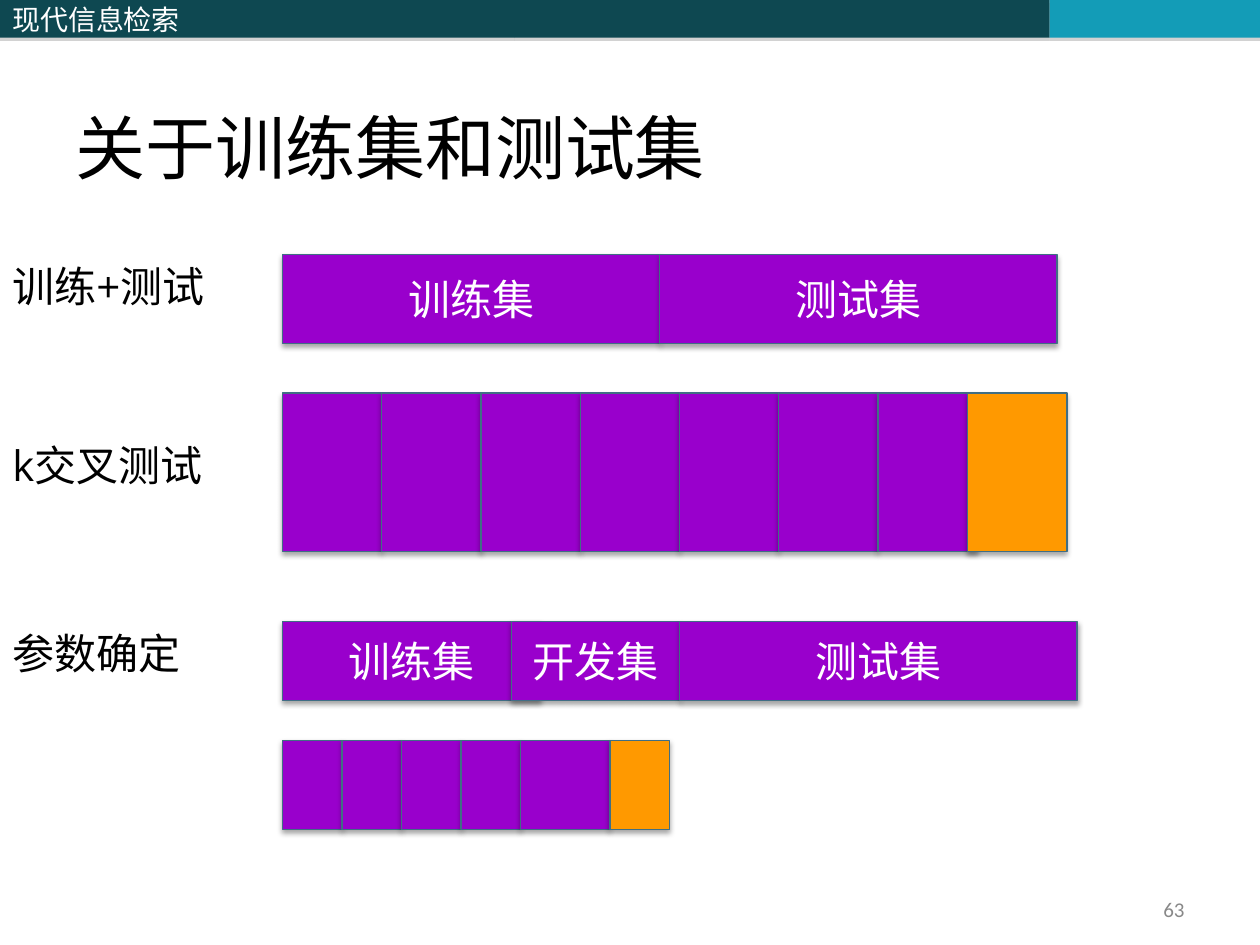
from lxml.etree import SubElement
from pptx import Presentation
from pptx.dml.color import RGBColor
from pptx.enum.shapes import MSO_SHAPE as Preset
from pptx.enum.text import MSO_ANCHOR as Anchor, PP_ALIGN as Align
from pptx.oxml.ns import qn
from pptx.util import Pt

TEAL = RGBColor(0x0E, 0x48, 0x51)
CYAN = RGBColor(0x13, 0x9C, 0xB7)
PURPLE = RGBColor(0x99, 0x00, 0xCC)
ORANGE = RGBColor(0xFF, 0x99, 0x00)
EDGE = RGBColor(0x40, 0x6E, 0x84)
GRAY = RGBColor(0x80, 0x80, 0x80)
NUMBER_GRAY = RGBColor(0x89, 0x89, 0x89)
BLACK = RGBColor(0, 0, 0)
WHITE = RGBColor(0xFF, 0xFF, 0xFF)
CJK = "Noto Sans CJK SC"


def write(shape, text, size=24, font="Calibri", color=BLACK,
          align=Align.LEFT, anchor=Anchor.MIDDLE):
    frame = shape.text_frame
    frame.word_wrap = True
    frame.vertical_anchor = anchor
    para = frame.paragraphs[0]
    para.alignment = align
    span = para.add_run()
    span.text = text
    span.font.size = Pt(size)
    span.font.name = font
    span.font.color.rgb = color
    SubElement(span.font._element, qn("a:ea"), typeface=CJK)


def add_shadow(shape, color, blur):
    shape.shadow.inherit = False
    effects = shape._element.spPr.find(qn("a:effectLst"))
    outer = SubElement(effects, qn("a:outerShdw"), blurRad=str(Pt(blur)),
                       dist=str(Pt(1.8)), dir="5400000", rotWithShape="0")
    tint = SubElement(outer, qn("a:srgbClr"), val=str(color))
    SubElement(tint, qn("a:alpha"), val="35000")


def add_block(page, box, fill, edge=None, shadow=BLACK, blur=3.1):
    block = page.shapes.add_shape(Preset.RECTANGLE, *map(Pt, box))
    block.fill.solid()
    block.fill.fore_color.rgb = fill
    if edge is None:
        block.line.fill.background()
    else:
        block.line.color.rgb = edge
        block.line.width = Pt(0.75)
    add_shadow(block, shadow, blur)
    return block


def add_text(page, box, text, **style):
    write(page.shapes.add_textbox(*map(Pt, box)), text, **style)


def add_header(page, box):
    left, top, width, height = box
    stops = (0, 0.408, 0.833, 1)
    for start, end, fill in zip(stops, stops[1:], (TEAL, TEAL, CYAN)):
        part = (left + start * width, top, (end - start) * width, height)
        block = add_block(page, part, fill, shadow=GRAY, blur=0)
        if start == 0:
            write(block, "现代信息检索", size=16, font=CJK, color=WHITE)


def add_title(page, box, text):
    title = page.shapes.title
    title.left, title.top, title.width, title.height = map(Pt, box)
    write(title, text, size=40, font="Times New Roman", anchor=Anchor.BOTTOM)


def add_row(page, box, parts):
    """Place (offset, width, text, fill) parts from the left of the box."""
    left, top, _, height = box
    for offset, width, text, fill in parts:
        block = add_block(page, (left + offset, top, width, height), fill, EDGE)
        if text:
            write(block, text, color=WHITE, align=Align.CENTER)


def add_row_label(page, top, text):
    add_text(page, (0, top, 187.2, 36), text, font="Open Sans", anchor=Anchor.TOP)


def build():
    deck = Presentation()
    deck.slide_width, deck.slide_height = Pt(720), Pt(540)
    page = deck.slides.add_slide(deck.slide_layouts[5])
    add_header(page, (0, 0, 720, 21.6))
    add_title(page, (36, 21.6, 648, 90), "关于训练集和测试集")

    # Training and test sets
    left = 161.5
    add_row(page, (left, 145.4, 442.5, 51), [
        (0, 215.5, "训练集", PURPLE), (215.5, 227, "测试集", PURPLE)])
    add_row_label(page, 145.4, "训练+测试")

    # Cross validation: equal folds, the held-out one overlapping slightly
    fold = 56.7
    add_row(page, (left, 224.6, 448.5, 90.7),
            [(i * fold, fold, "", PURPLE) for i in range(7)]
            + [(391.5, fold, "", ORANGE)])
    add_row_label(page, 247.7, "k交叉测试")

    # Parameter selection with a development set
    add_row(page, (left, 355, 454, 45.4), [
        (0, 147.5, "训练集", PURPLE), (130.6, 96.4, "开发集", PURPLE),
        (227, 227, "测试集", PURPLE)])
    add_row_label(page, 355, "参数确定")

    # Folds within the training and development data
    small = 34
    add_row(page, (left, 423, 221, 51),
            [(i * small, small, "", PURPLE) for i in range(4)]
            + [(4 * small, 51, "", PURPLE), (187, small, "", ORANGE)])

    # Page number
    add_text(page, (516, 510, 168, 19.5), "63", size=12, color=NUMBER_GRAY,
             align=Align.RIGHT)
    deck.save("out.pptx")


if __name__ == "__main__":
    build()
